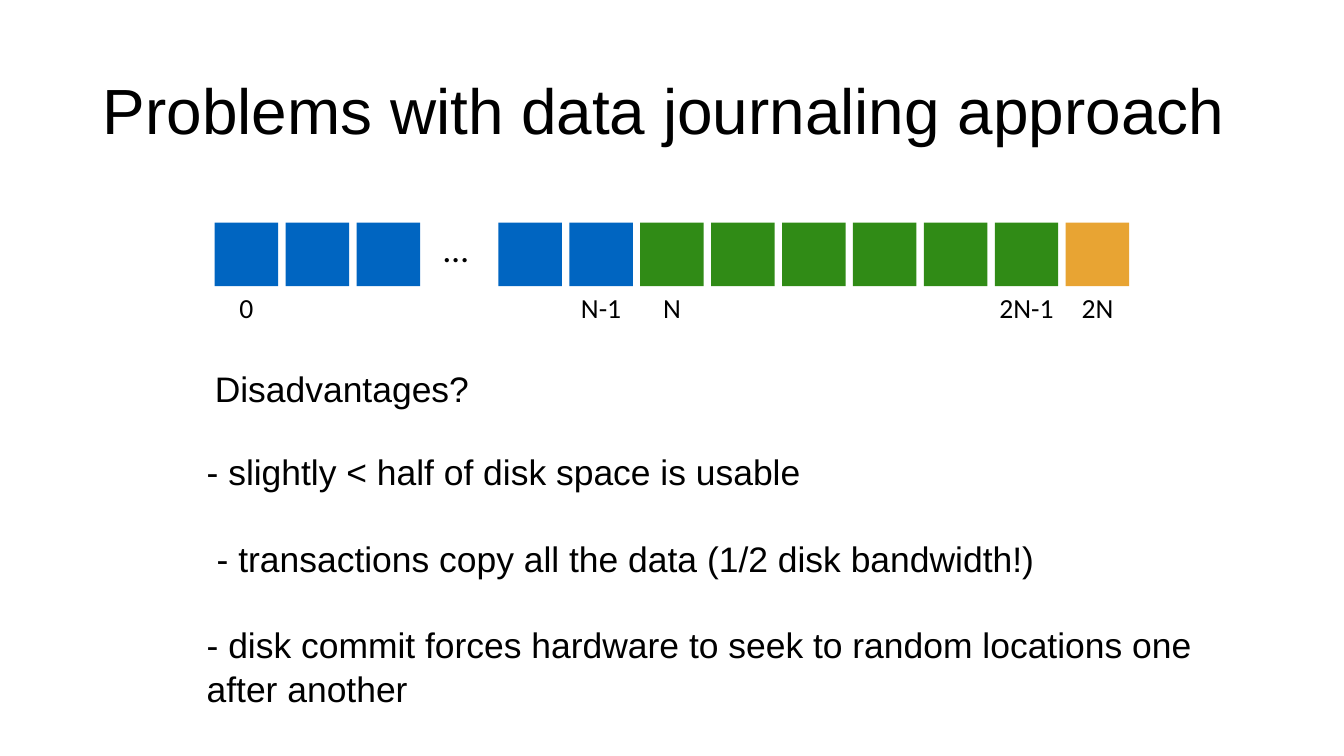
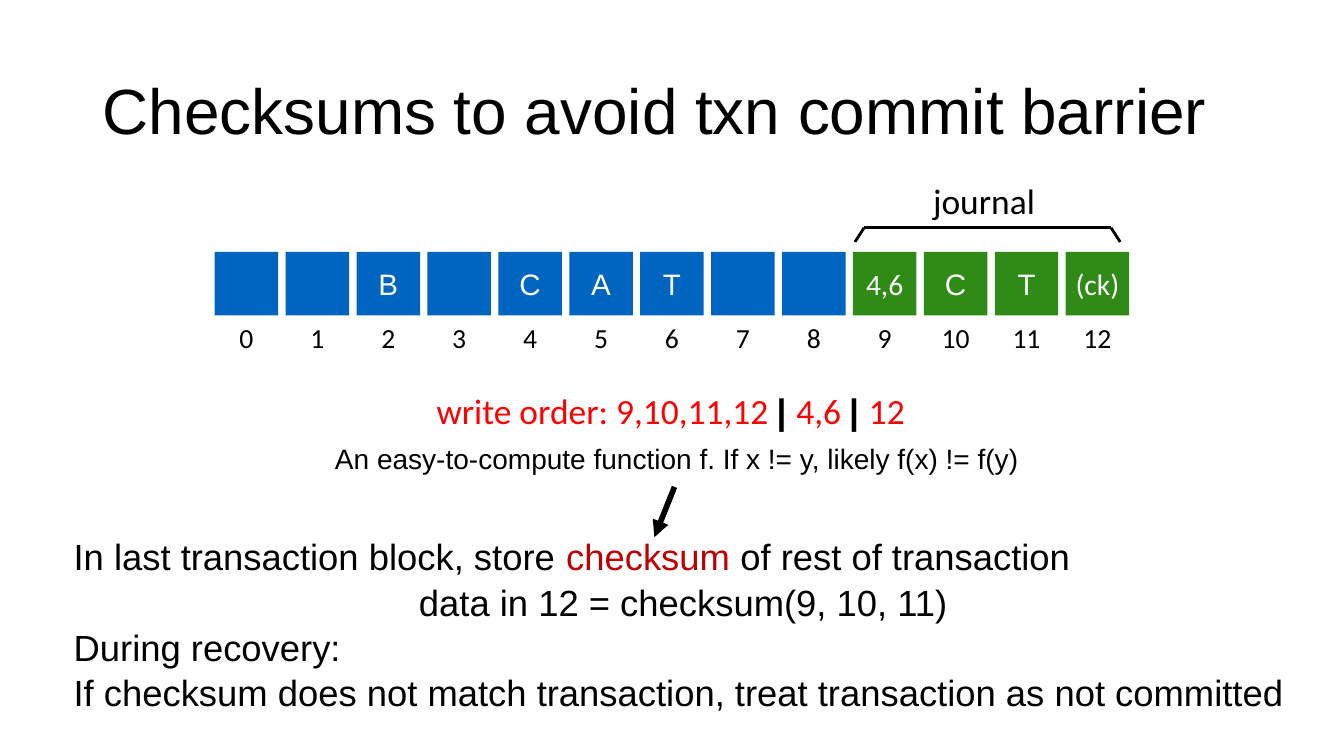
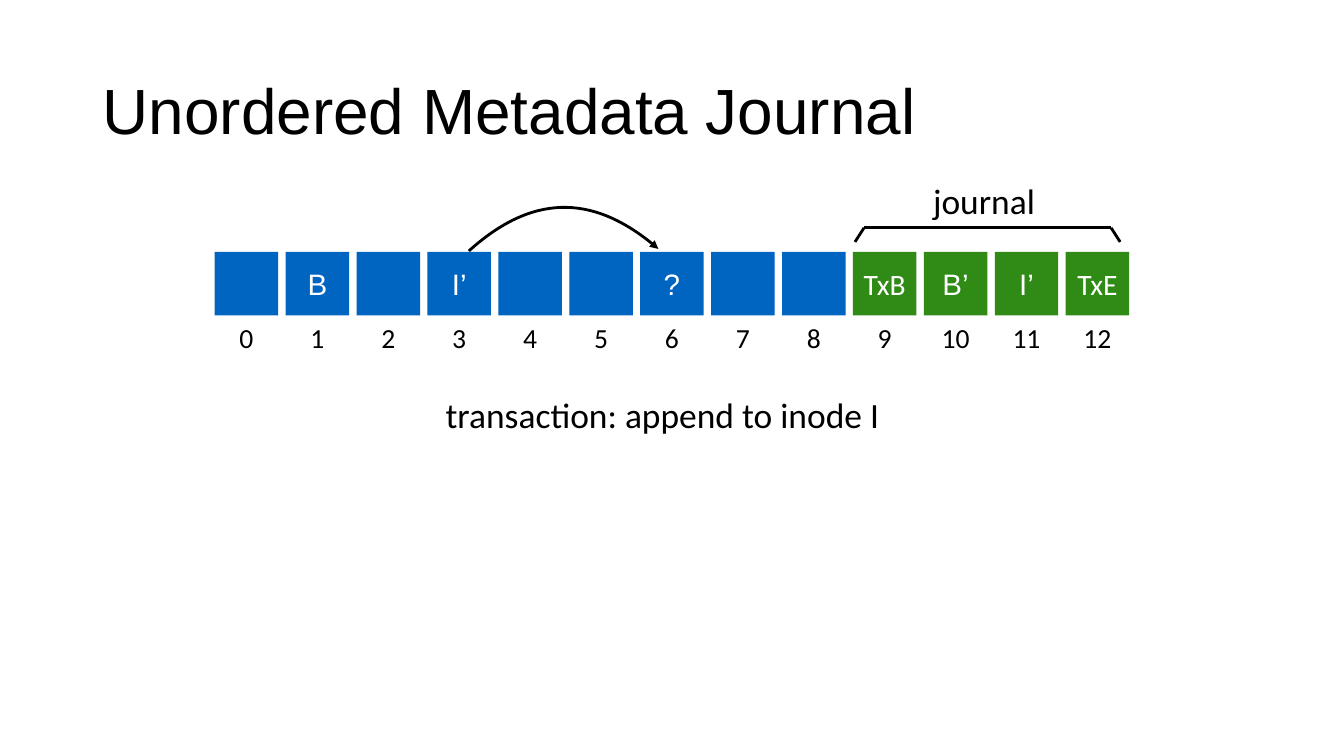
from dataclasses import dataclass

from lxml import etree
from pptx import Presentation
from pptx.dml.color import RGBColor
from pptx.enum.shapes import MSO_CONNECTOR, MSO_SHAPE
from pptx.enum.text import MSO_ANCHOR, PP_ALIGN
from pptx.oxml.ns import qn
from pptx.util import Inches, Pt

LEFT, CENTER = PP_ALIGN.LEFT, PP_ALIGN.CENTER
TOP, MIDDLE = MSO_ANCHOR.TOP, MSO_ANCHOR.MIDDLE
RECTANGLE = MSO_SHAPE.RECTANGLE
STRAIGHT = MSO_CONNECTOR.STRAIGHT


@dataclass(frozen=True)
class Theme:
    black: RGBColor = RGBColor.from_string("000000")
    white: RGBColor = RGBColor.from_string("FFFFFF")
    data: RGBColor = RGBColor.from_string("0065C1")
    journal: RGBColor = RGBColor.from_string("308B16")
    commit: RGBColor = RGBColor.from_string("E8A433")
    order: RGBColor = RGBColor.from_string("FF0000")
    keyword: RGBColor = RGBColor.from_string("C00000")
    sans: str = "Arial"
    label: str = "Calibri"
    title_size: float = 45.6
    text_size: float = 25.3
    recovery_size: float = 26
    cell_size: float = 21.1
    note_size: float = 20
    index_size: float = 19.7


THEME = Theme()
BLOCKS = 13
FIRST_BLOCK, LAST_BLOCK, BLOCK = 2.13, 10.57, 0.63
PITCH = (LAST_BLOCK - FIRST_BLOCK) / (BLOCKS - 1)
INDEX_WIDTH = 0.8
JOURNAL_START = 9
BODY_SPACING = 1.04


def write(holder, lines, size, font=THEME.sans, color=THEME.black,
          align=LEFT, anchor=MIDDLE, inset=0.04):
    frame = holder.text_frame
    frame.word_wrap = True
    frame.vertical_anchor = anchor
    frame.margin_left = frame.margin_right = Inches(inset)
    frame.margin_top = frame.margin_bottom = Inches(min(inset, 0.05))
    frame.text = "\n".join(lines)
    for paragraph in frame.paragraphs:
        paragraph.alignment = align
        paragraph.font.size = Pt(size)
        paragraph.font.name = font
        paragraph.font.color.rgb = color
    return frame.paragraphs


def stroke(item, width, arrow=False):
    item.line.color.rgb = THEME.black
    item.line.width = Pt(width)
    properties = item.element.spPr
    if arrow:
        etree.SubElement(properties.find(qn("a:ln")), qn("a:tailEnd"), type="triangle")
    etree.SubElement(properties, qn("a:effectLst"))


prs = Presentation()
prs.slide_width, prs.slide_height = Inches(13.33), Inches(7.5)

numbers = {block: str(block) for block in range(BLOCKS)}
disks = [
    ("Problems with data journaling approach", 2.21, 6, {},
     {0: "0", 5: "N-1", 6: "N", 11: "2N-1", 12: "2N"}),
    ("Checksums to avoid txn commit barrier", 2.5, JOURNAL_START,
     {2: "B", 4: "C", 5: "A", 6: "T", 9: "4,6", 10: "C", 11: "T", 12: "(ck)"}, numbers),
    ("Unordered Metadata Journal", 2.5, JOURNAL_START,
     {1: "B", 3: "I’", 6: "?", 9: "TxB", 10: "B’", 11: "I’", 12: "TxE"}, numbers),
]

slides = []
for title, top, journal_start, contents, indices in disks:
    slide = prs.slides.add_slide(prs.slide_layouts[6])
    slides.append(slide)
    heading = slide.shapes.add_textbox(Inches(0.92), Inches(0.4), Inches(11.85), Inches(1.45))
    write(heading, [title], THEME.title_size, inset=0.1)[0].line_spacing = 0.9

    half_disk = not contents
    for block in range(BLOCKS):
        left = FIRST_BLOCK + block * PITCH
        if half_disk and block == 3:
            gap = slide.shapes.add_textbox(Inches(4.36), Inches(top), Inches(1.04), Inches(0.5))
            write(gap, ["…"], THEME.text_size, THEME.label)
            continue
        cell = slide.shapes.add_shape(RECTANGLE, Inches(left), Inches(top),
                                      Inches(BLOCK), Inches(BLOCK))
        cell.shadow.inherit = False
        cell.fill.solid()
        cell.fill.fore_color.rgb = THEME.data if block < journal_start else THEME.journal
        if half_disk and block == BLOCKS - 1:
            cell.fill.fore_color.rgb = THEME.commit
        cell.line.fill.background()
        if block in contents:
            content = contents[block]
            write(cell, [content], THEME.cell_size,
                  THEME.label if len(content) > 2 else THEME.sans,
                  THEME.white, CENTER, inset=0)
        if block in indices:
            index = slide.shapes.add_textbox(
                Inches(left + (BLOCK - INDEX_WIDTH) / 2), Inches(top + 0.64),
                Inches(INDEX_WIDTH), Inches(0.41))
            write(index, [indices[block]], THEME.index_size, THEME.label, align=CENTER)

    if not half_disk:
        for x1, y1, x2, y2 in [(8.57, 2.26, 11.02, 2.26),
                               (8.57, 2.26, 8.48, 2.4),
                               (11.02, 2.26, 11.11, 2.4)]:
            bracket = slide.shapes.add_connector(STRAIGHT, Inches(x1), Inches(y1),
                                                 Inches(x2), Inches(y2))
            stroke(bracket, 2)
        journal = slide.shapes.add_textbox(Inches(9.16), Inches(1.74), Inches(1.2), Inches(0.5))
        write(journal, ["journal"], THEME.text_size, THEME.label, align=CENTER)

problems, checksums, metadata = slides

question = problems.shapes.add_textbox(Inches(2.09), Inches(3.6), Inches(3), Inches(0.5))
write(question, ["Disadvantages?"], THEME.text_size)
drawbacks = problems.shapes.add_textbox(Inches(2.05), Inches(4.45), Inches(10.46), Inches(2.56))
drawback_lines = write(drawbacks, [
    "- slightly < half of disk space is usable",
    "- transactions copy all the data (1/2 disk bandwidth!)",
    "- disk commit forces hardware to seek to random locations one after another",
], THEME.text_size, anchor=TOP, inset=0)
for number, line in enumerate(drawback_lines):
    line.line_spacing = BODY_SPACING
    if number:
        line.space_before = Pt(30.2)
drawback_lines[1].element.get_or_add_pPr().set("marL", str(Inches(0.1))) if hasattr(
    drawback_lines[1], "element") else drawback_lines[1]._p.get_or_add_pPr().set(
    "marL", str(Inches(0.1)))

write_order = checksums.shapes.add_textbox(Inches(4.29), Inches(3.82), Inches(5), Inches(0.5))
order_line = write(write_order, [""], THEME.text_size, THEME.label, THEME.order)[0]
for text in ["write order: 9,10,11,12 ", "| ", "4,6 ", "| ", "12"]:
    run = order_line.add_run()
    run.text = text
    if text == "| ":
        run.font.name = THEME.sans
        run.font.bold = True
        run.font.color.rgb = THEME.black

recovery = checksums.shapes.add_textbox(Inches(0.69), Inches(5.27), Inches(12.18), Inches(1.83))
recovery_lines = write(recovery, [
    "",
    "data in 12 = checksum(9, 10, 11)",
    "During recovery:",
    "If checksum does not match transaction, treat transaction as not committed",
], THEME.recovery_size)
for text in ["In last transaction block, store ", "checksum", " of rest of transaction"]:
    run = recovery_lines[0].add_run()
    run.text = text
    if text == "checksum":
        run.font.color.rgb = THEME.keyword
for line in recovery_lines:
    line.line_spacing = BODY_SPACING
recovery_lines[1].alignment = CENTER

definition = checksums.shapes.add_textbox(Inches(1.01), Inches(4.33), Inches(11.41), Inches(0.44))
write(definition, ["An easy-to-compute function f. If x != y, likely f(x) != f(y)"],
      THEME.note_size, align=CENTER, anchor=TOP, inset=0.1)
pointer = checksums.shapes.add_connector(STRAIGHT, Inches(6.69), Inches(4.83),
                                         Inches(6.49), Inches(5.33))
stroke(pointer, 4, arrow=True)

transaction = metadata.shapes.add_textbox(Inches(4.38), Inches(3.86), Inches(4.8), Inches(0.5))
write(transaction, ["transaction: append to inode I"], THEME.text_size, THEME.label)

outline = metadata.shapes.build_freeform(Inches(4.65), Inches(2.49))
outline.add_line_segments(
    [(Inches(x), Inches(y)) for x, y in [(5.27, 1.93), (5.9, 1.92), (6.53, 2.47)]], close=False)
inode_arc = outline.convert_to_shape()
inode_arc.fill.background()
segments = inode_arc.element.xpath(".//a:lnTo")
curve = etree.SubElement(segments[0].getparent(), qn("a:cubicBezTo"))
for segment in segments:
    curve.append(segment[0])
    segment.getparent().remove(segment)
stroke(inode_arc, 2, arrow=True)

prs.save("out.pptx")
